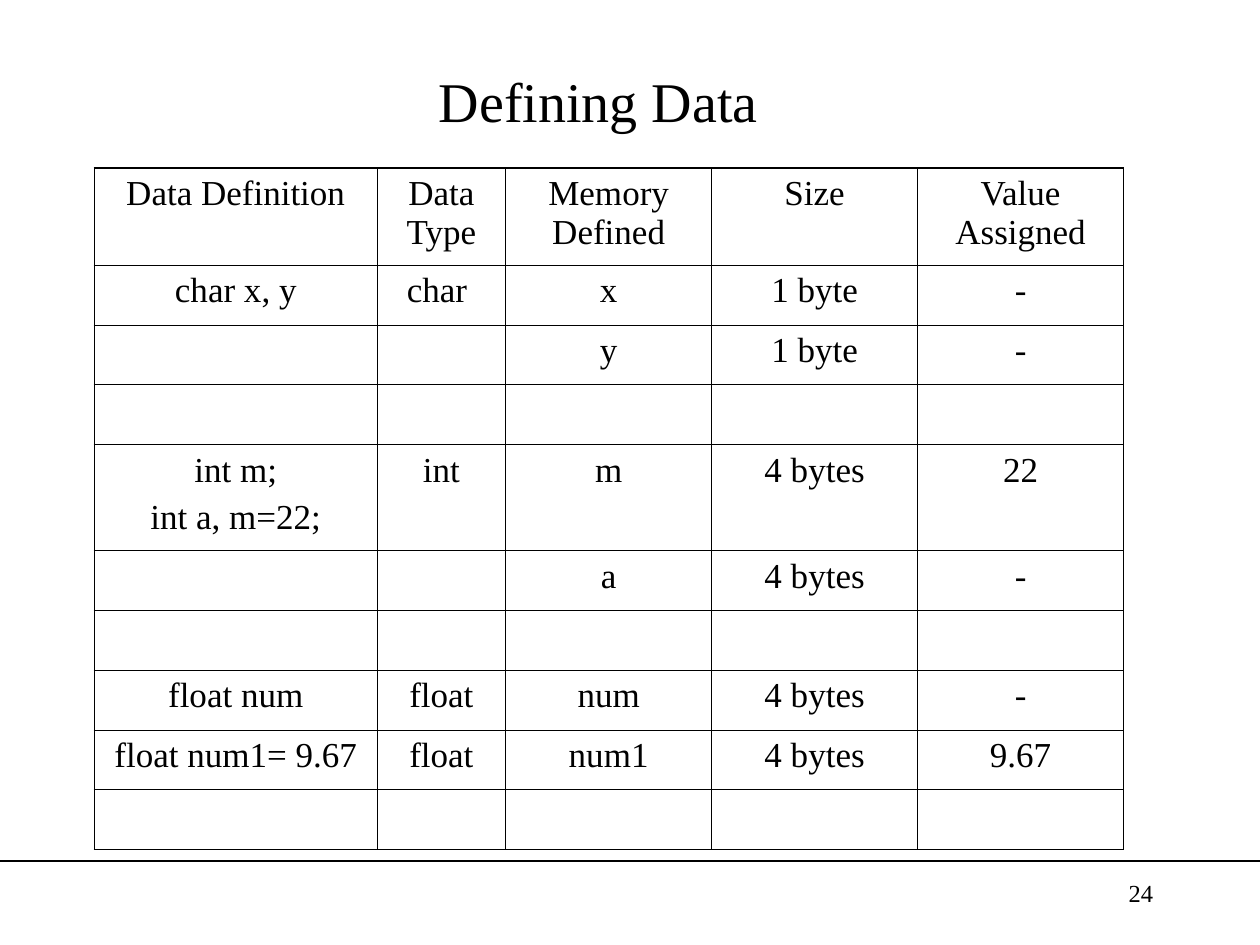
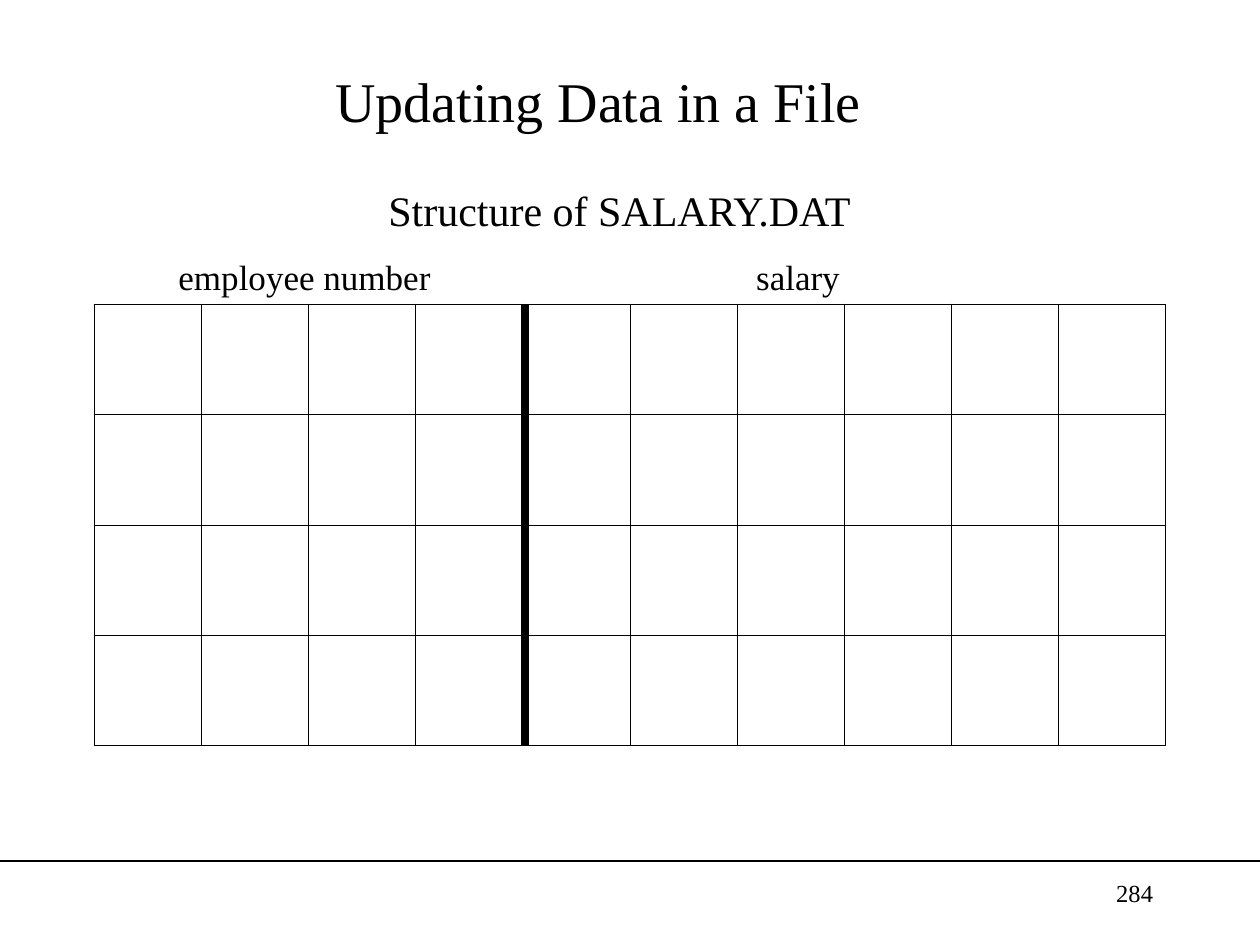
"""Build two slides on defining data and on the layout of a data file."""
from lxml import etree
from pptx import Presentation
from pptx.dml.color import RGBColor
from pptx.enum.shapes import MSO_CONNECTOR
from pptx.enum.text import MSO_ANCHOR, MSO_AUTO_SIZE, PP_ALIGN
from pptx.oxml.ns import qn
from pptx.util import Pt

BLACK = RGBColor(0x00, 0x00, 0x00)
FONT_NAME = "Times New Roman"
CENTER, RIGHT = PP_ALIGN.CENTER, PP_ALIGN.RIGHT
MIDDLE = MSO_ANCHOR.MIDDLE
NO_AUTOFIT = MSO_AUTO_SIZE.NONE
STRAIGHT = MSO_CONNECTOR.STRAIGHT

SLIDE_WIDTH, SLIDE_HEIGHT = 720, 540
TITLE_ONLY_LAYOUT = 5
FOOTER_LINE_TOP = 492
TABLE_LEFT = 54
OUTER_BORDER, INNER_BORDER = 1.08, 0.45

DEFINITION_WIDTHS = [161.5, 73.5, 117.7, 117.7, 117.7]
HEADER_HEIGHT, ROW_HEIGHT, LINE_HEIGHT = 55.5, 34.2, 26.3
DEFINITION_ROWS = [
    ["Data Definition", "Data Type", "Memory Defined", "Size", "Value Assigned"],
    ["char x, y", "char ", "x", "1 byte", "-"],
    ["", "", "y", "1 byte", "-"],
    [""] * 5,
    ["int m;\nint a, m=22;", "int", "m", "4 bytes", "22"],
    ["", "", "a", "4 bytes", "-"],
    [""] * 5,
    ["float num", "float", "num", "4 bytes", "-"],
    ["float num1= 9.67", "float", "num1", "4 bytes", "9.67"],
    [""] * 5,
]

BYTE_COLUMNS, RECORD_ROWS = 10, 4
BYTE_WIDTH, RECORD_HEIGHT = 61.2, 63
RECORDS_TOP = 174
FIELD_DIVIDER_LEFT = 300
FIELD_LABELS = [("employee number", 54), ("salary", 336)]


def write_text(text_frame, text, size, alignment=CENTER):
    """Write each line of text as a formatted paragraph."""
    for index, line in enumerate(text.split("\n")):
        paragraph = text_frame.add_paragraph() if index else text_frame.paragraphs[0]
        paragraph.alignment = alignment
        if index:
            paragraph.space_before = Pt(5)
        run = paragraph.add_run()
        run.text = line
        run.font.name = FONT_NAME
        run.font.size = Pt(size)
        run.font.color.rgb = BLACK


def add_text(slide, text, left, top, width, height, size, alignment=CENTER):
    """Add a wrapping text box."""
    shape = slide.shapes.add_textbox(Pt(left), Pt(top), Pt(width), Pt(height))
    shape.text_frame.word_wrap = True
    write_text(shape.text_frame, text, size, alignment)


def add_line(slide, start, end, width):
    """Add a straight black line without a shadow."""
    connector = slide.shapes.add_connector(
        STRAIGHT, Pt(start[0]), Pt(start[1]), Pt(end[0]), Pt(end[1]))
    connector.line.color.rgb = BLACK
    connector.line.width = Pt(width)
    etree.SubElement(connector.element.spPr, qn("a:effectLst"))


def add_slide(presentation, title, number):
    """Add a slide with its title, footer line and page number."""
    slide = presentation.slides.add_slide(
        presentation.slide_layouts[TITLE_ONLY_LAYOUT])
    add_line(slide, (0, FOOTER_LINE_TOP), (SLIDE_WIDTH, FOOTER_LINE_TOP), 0.75)
    shape = slide.shapes.title
    shape.left, shape.top, shape.width, shape.height = Pt(36), Pt(18), Pt(612), Pt(78)
    shape.text_frame.auto_size = NO_AUTOFIT
    shape.text_frame.vertical_anchor = MIDDLE
    write_text(shape.text_frame, title, 32)
    add_text(slide, number, 516, 498, 150, 36, 14, RIGHT)
    return slide


def set_borders(cell, outer_sides):
    """Draw the cell's four borders, heavier on the table's outer sides."""
    properties = cell._tc.get_or_add_tcPr()
    for side in "LRTB":
        width = OUTER_BORDER if side in outer_sides else INNER_BORDER
        border = etree.SubElement(properties, qn(f"a:ln{side}"), w=str(Pt(width)))
        fill = etree.SubElement(border, qn("a:solidFill"))
        etree.SubElement(fill, qn("a:srgbClr"), val=str(BLACK))


def add_grid(slide, top, widths, heights, texts):
    """Add an unfilled table with ruled cells."""
    table = slide.shapes.add_table(
        len(heights), len(widths), Pt(TABLE_LEFT), Pt(top),
        Pt(sum(widths)), Pt(sum(heights))).table
    table.first_row = table.horz_banding = False
    for column, width in zip(table.columns, widths):
        column.width = Pt(width)
    for row_index, (row, height) in enumerate(zip(table.rows, heights)):
        row.height = Pt(height)
        for column_index, cell in enumerate(row.cells):
            edges = {"L": column_index == 0, "R": column_index == len(widths) - 1,
                     "T": row_index == 0, "B": row_index == len(heights) - 1}
            set_borders(cell, [side for side, is_outer in edges.items() if is_outer])
            cell.fill.background()
            text = texts[row_index][column_index]
            if text:
                write_text(cell.text_frame, text, 20)


def build_definitions(presentation):
    """Build the table of data definitions."""
    slide = add_slide(presentation, "Defining Data", "24")
    heights = [ROW_HEIGHT + LINE_HEIGHT * row[0].count("\n") for row in DEFINITION_ROWS]
    heights[0] = HEADER_HEIGHT
    add_grid(slide, 96, DEFINITION_WIDTHS, heights, DEFINITION_ROWS)


def build_file_structure(presentation):
    """Build the byte grid of the salary file."""
    slide = add_slide(presentation, "Updating Data in a File", "284")
    heights = [RECORD_HEIGHT] * RECORD_ROWS
    add_grid(slide, RECORDS_TOP, [BYTE_WIDTH] * BYTE_COLUMNS, heights,
             [[""] * BYTE_COLUMNS] * RECORD_ROWS)
    add_line(slide, (FIELD_DIVIDER_LEFT, RECORDS_TOP),
             (FIELD_DIVIDER_LEFT, RECORDS_TOP + sum(heights)), 4.5)
    for label, left in FIELD_LABELS:
        add_text(slide, label, left, 142.5, 240, 31.5, 20)
    add_text(slide, "Structure of SALARY.DAT", 84, 102, 540, 36, 24)


def main():
    """Create and save the presentation."""
    presentation = Presentation()
    presentation.slide_width = Pt(SLIDE_WIDTH)
    presentation.slide_height = Pt(SLIDE_HEIGHT)
    build_definitions(presentation)
    build_file_structure(presentation)
    presentation.save("out.pptx")


if __name__ == "__main__":
    main()
